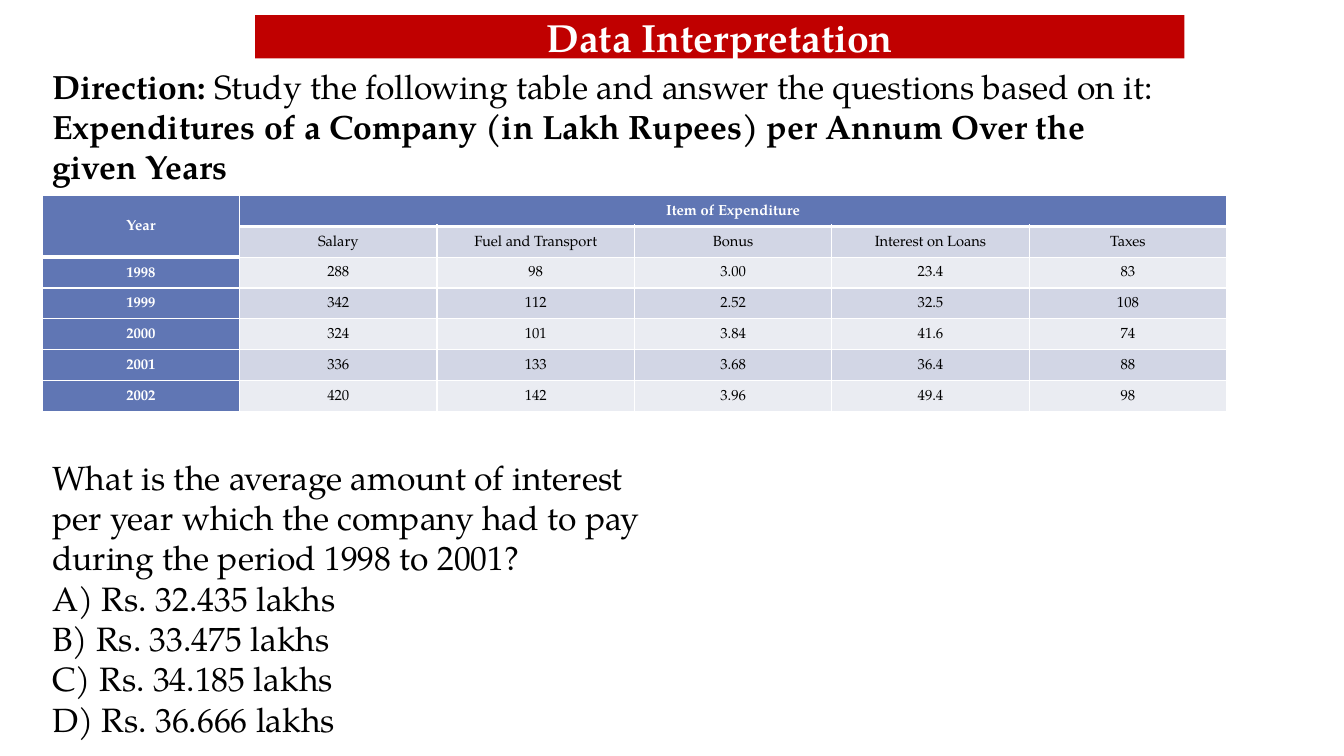
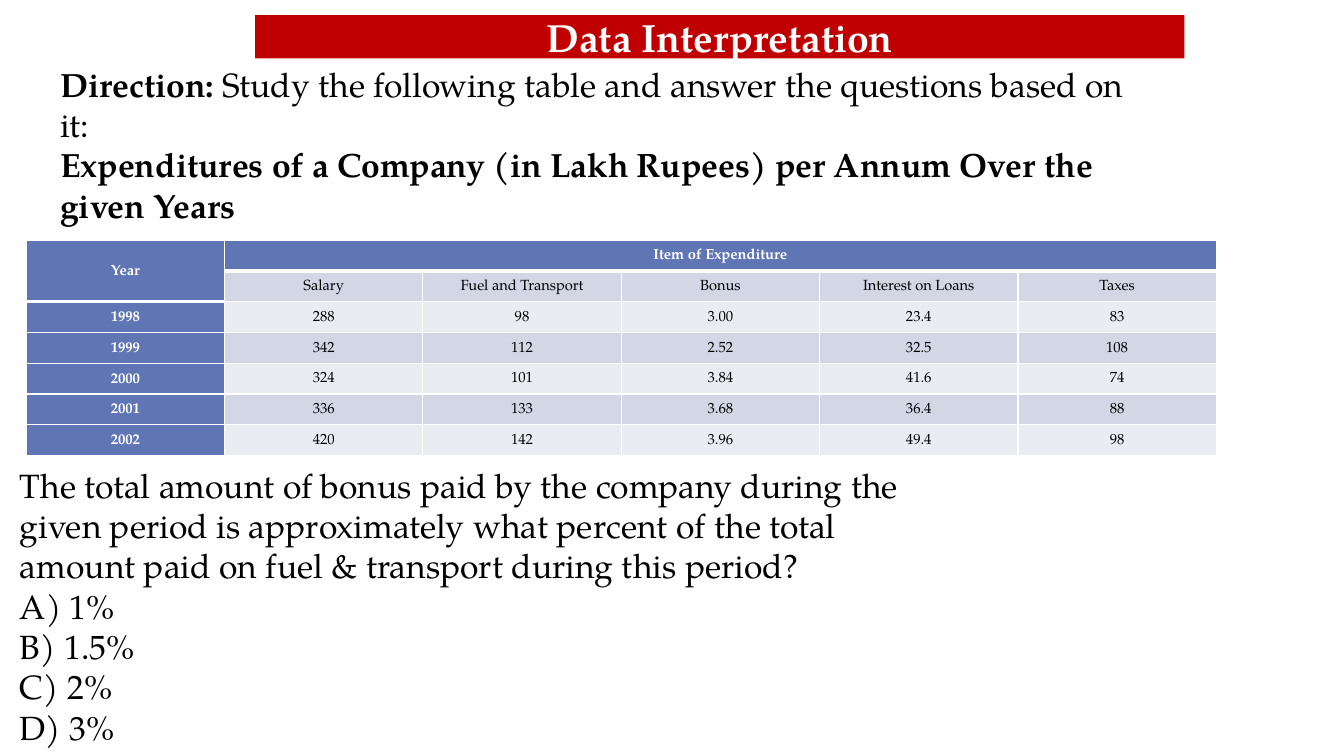
import dataclasses

import lxml.etree
import pptx
import pptx.dml.color
import pptx.enum.shapes
import pptx.enum.text
import pptx.oxml.ns
import pptx.slide
import pptx.table
import pptx.text.text
import pptx.util

Pt = pptx.util.Pt
RGB = pptx.dml.color.RGBColor
PP_ALIGN = pptx.enum.text.PP_ALIGN
MSO_ANCHOR = pptx.enum.text.MSO_ANCHOR
qn = pptx.oxml.ns.qn


@dataclasses.dataclass(frozen=True)
class Theme:
    font: str = "TeX Gyre Pagella"
    banner: str = "C00000"
    header: str = "6076B4"
    band_dark: str = "D2D6E5"
    band_light: str = "EAECF2"
    white: str = "FFFFFF"
    black: str = "000000"
    title_size: float = 28
    body_size: float = 24
    table_size: float = 10.5
    table_spacing: float = 1.15
    cell_margin: float = 3.6
    row_height: float = 22
    thin_border: float = 1
    thick_border: float = 3


@dataclasses.dataclass(frozen=True)
class Box:
    left: float
    top: float
    width: float
    height: float

    def lengths(self) -> tuple:
        return Pt(self.left), Pt(self.top), Pt(self.width), Pt(self.height)


@dataclasses.dataclass(frozen=True)
class Problem:
    direction_box: Box
    table_left: float
    table_top: float
    column_width: float
    question_box: Box
    question: str
    options: tuple[str, ...]


THEME = Theme()
BANNER_BOX = Box(182.2, 10.8, 663.8, 31)
TITLE = "Data Interpretation"
DIRECTION = "Direction:"
INSTRUCTION = " Study the following table and answer the questions based on it:"
TABLE_TITLE = "Expenditures of a Company (in Lakh Rupees) per Annum Over the given Years"

EXPENDITURE = (
    ("Year", "Item of Expenditure", "", "", "", ""),
    ("", "Salary", "Fuel and Transport", "Bonus", "Interest on Loans", "Taxes"),
    ("1998", "288", "98", "3.00", "23.4", "83"),
    ("1999", "342", "112", "2.52", "32.5", "108"),
    ("2000", "324", "101", "3.84", "41.6", "74"),
    ("2001", "336", "133", "3.68", "36.4", "88"),
    ("2002", "420", "142", "3.96", "49.4", "98"),
)

PROBLEMS = (
    Problem(
        Box(30.2, 43.2, 816.5, 123.8), 30.2, 139.7, 141,
        Box(30.2, 322.6, 440, 211),
        "What is the average amount of interest per year which the company "
        "had to pay during the period 1998 to 2001?",
        ("A) Rs. 32.435 lakhs", "B) Rs. 33.475 lakhs",
         "C) Rs. 34.185 lakhs", "D) Rs. 36.666 lakhs"),
    ),
    Problem(
        Box(36, 41.8, 794.9, 123.8), 18.7, 171.4, 141.7,
        Box(7.2, 328.3, 648, 211),
        "The total amount of bonus paid by the company during the given period "
        "is approximately what percent of the total amount paid on fuel & "
        "transport during this period?",
        ("A) 1%", "B) 1.5%", "C) 2%", "D) 3%"),
    ),
)


def format_runs(p: pptx.text.text._Paragraph, size: float, color: str, bold: bool = False) -> None:
    for r in p.runs:
        r.font.name = THEME.font
        r.font.size = Pt(size)
        r.font.bold = bold
        r.font.color.rgb = RGB.from_string(color)


def add_banner(s: pptx.slide.Slide) -> None:
    sp = s.shapes.add_shape(pptx.enum.shapes.MSO_SHAPE.RECTANGLE, *BANNER_BOX.lengths())
    sp.shadow.inherit = False
    sp.fill.solid()
    sp.fill.fore_color.rgb = RGB.from_string(THEME.banner)
    sp.line.fill.background()
    tf = sp.text_frame
    tf.text = TITLE
    tf.vertical_anchor = MSO_ANCHOR.MIDDLE
    p = tf.paragraphs[0]
    p.alignment = PP_ALIGN.CENTER
    format_runs(p, THEME.title_size, THEME.white, bold=True)


def add_text(s: pptx.slide.Slide, box: Box, lines: tuple[str, ...]) -> pptx.text.text.TextFrame:
    tf = s.shapes.add_textbox(*box.lengths()).text_frame
    tf.word_wrap = True
    tf.auto_size = pptx.enum.text.MSO_AUTO_SIZE.SHAPE_TO_FIT_TEXT
    tf.text = "\n".join(lines)
    for p in tf.paragraphs:
        format_runs(p, THEME.body_size, THEME.black)
    return tf


def add_direction(s: pptx.slide.Slide, box: Box) -> None:
    tf = add_text(s, box, (DIRECTION, TABLE_TITLE))
    p = tf.paragraphs[0]
    p.add_run().text = INSTRUCTION
    format_runs(p, THEME.body_size, THEME.black)
    for p in tf.paragraphs:
        p.runs[0].font.bold = True


def is_thick_below(row: int, col: int) -> bool:
    return row == 0 or (row, col) == (1, 0)


def set_borders(cell: pptx.table._Cell, row: int, col: int) -> None:
    widths = {
        "L": THEME.thin_border,
        "R": THEME.thin_border,
        "T": THEME.thick_border if row and is_thick_below(row - 1, col) else THEME.thin_border,
        "B": THEME.thick_border if is_thick_below(row, col) else THEME.thin_border,
    }
    tcPr = cell._tc.get_or_add_tcPr()
    for side, width in widths.items():
        ln = lxml.etree.SubElement(tcPr, qn(f"a:ln{side}"), w=str(Pt(width)))
        fill = lxml.etree.SubElement(ln, qn("a:solidFill"))
        lxml.etree.SubElement(fill, qn("a:srgbClr"), val=THEME.white)


def format_cell(cell: pptx.table._Cell, row: int, col: int, text: str) -> None:
    is_header = row == 0 or col == 0
    band = THEME.band_dark if row % 2 else THEME.band_light
    set_borders(cell, row, col)
    cell.fill.solid()
    cell.fill.fore_color.rgb = RGB.from_string(THEME.header if is_header else band)
    cell.vertical_anchor = MSO_ANCHOR.MIDDLE
    cell.margin_left = cell.margin_right = Pt(THEME.cell_margin)
    cell.margin_top = cell.margin_bottom = Pt(THEME.cell_margin)
    cell.text_frame.text = text
    p = cell.text_frame.paragraphs[0]
    p.alignment = PP_ALIGN.CENTER
    p.line_spacing = THEME.table_spacing
    p.font.size = Pt(THEME.table_size)
    format_runs(p, THEME.table_size, THEME.white if is_header else THEME.black, is_header)


def add_expenditure_table(s: pptx.slide.Slide, problem: Problem) -> None:
    rows, cols = len(EXPENDITURE), len(EXPENDITURE[0])
    box = Box(problem.table_left, problem.table_top,
              cols * problem.column_width, rows * THEME.row_height)
    table = s.shapes.add_table(rows, cols, *box.lengths()).table
    table.first_col = True
    table.horz_banding = False
    for column in table.columns:
        column.width = Pt(problem.column_width)
    for row, values in enumerate(EXPENDITURE):
        table.rows[row].height = Pt(THEME.row_height)
        for col, text in enumerate(values):
            format_cell(table.cell(row, col), row, col, text)
    table.cell(0, 0).merge(table.cell(1, 0))
    table.cell(0, 1).merge(table.cell(0, cols - 1))


def add_problem(prs, problem: Problem) -> None:
    s = prs.slides.add_slide(prs.slide_layouts[6])
    add_banner(s)
    add_direction(s, problem.direction_box)
    add_expenditure_table(s, problem)
    add_text(s, problem.question_box, (problem.question, *problem.options))


def main() -> None:
    prs = pptx.Presentation()
    prs.slide_width, prs.slide_height = Pt(960), Pt(540)
    for problem in PROBLEMS:
        add_problem(prs, problem)
    prs.save("out.pptx")


if __name__ == "__main__":
    main()
